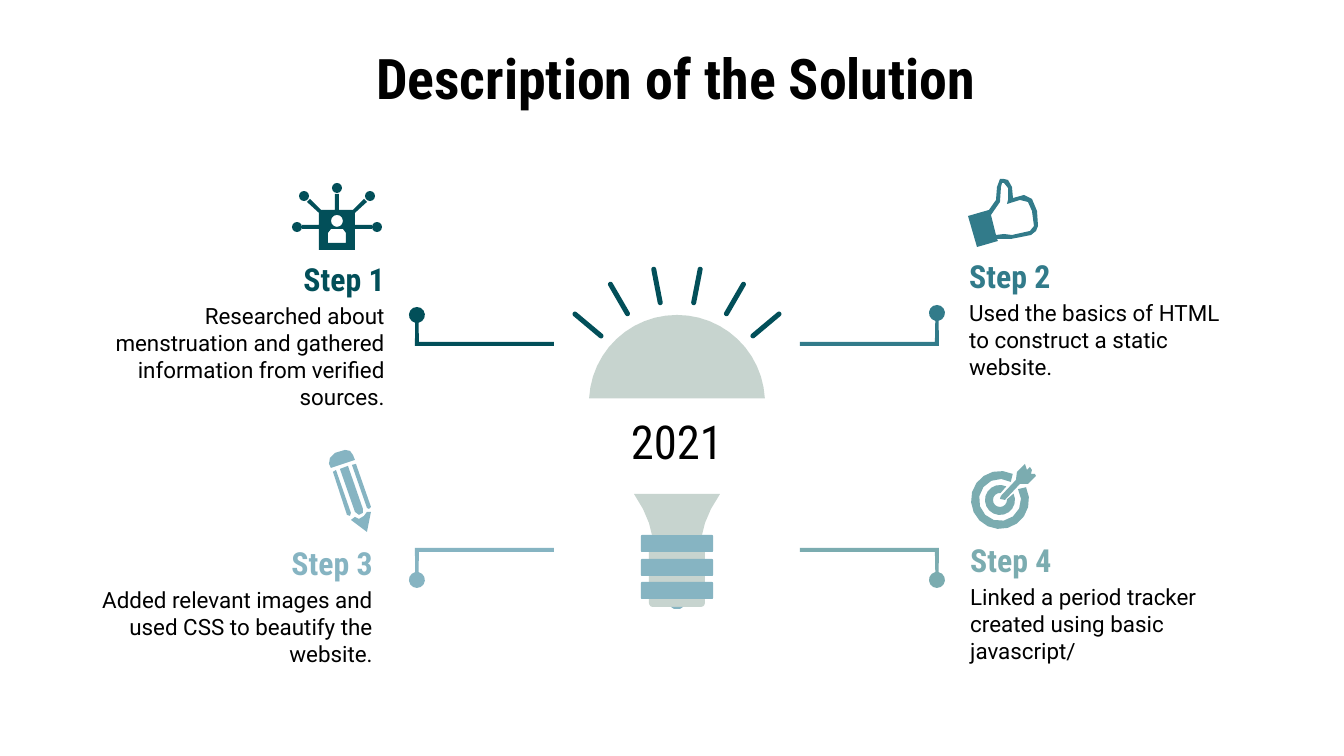
import dataclasses
import math

import pptx
import pptx.dml.color
import pptx.enum.shapes
import pptx.enum.text
import pptx.util

EMU_PER_PX = 9144000 / 1344
BULB_AXIS = 677
ALIGN = pptx.enum.text.PP_ALIGN
PRESET = pptx.enum.shapes.MSO_SHAPE


@dataclasses.dataclass(frozen=True)
class Theme:
    black: str = "000000"
    white: str = "FFFFFF"
    dark_teal: str = "024F59"
    teal: str = "327B8A"
    sky: str = "86B4C2"
    mint: str = "7BACB0"
    sage: str = "C7D4CF"
    heading_font: str = "Roboto Condensed"
    body_font: str = "Roboto"
    title_size: int = 30
    year_size: int = 25
    step_size: int = 17
    body_size: int = 12


def emu(px):
    return round(px * EMU_PER_PX)


def color(value):
    return pptx.dml.color.RGBColor.from_string(value)


def arc(x, y, radius, start=0, end=360, steps=12):
    """Return points along an arc; angles in degrees, clockwise from the right."""
    angles = [math.radians(start + (end - start) * i / steps) for i in range(steps + 1)]
    return [(x + radius * math.cos(a), y + radius * math.sin(a)) for a in angles]


def open_ring(x, y, outer, inner, outer_gap, inner_gap):
    """Return a ring with a gap, given as half angles, toward the upper right."""
    return (arc(x, y, outer, outer_gap - 45, 315 - outer_gap, 16)
            + arc(x, y, inner, 315 - inner_gap, inner_gap - 45))


def mirrored(points, axis):
    """Close a left half outline with its reflection in a vertical axis."""
    return points + [(2 * axis - x, y) for x, y in reversed(points)]


def write_text(shape, text, *, size, font, fill, bold=False, align=ALIGN.LEFT):
    frame = shape.text_frame
    frame.word_wrap = True
    frame.vertical_anchor = pptx.enum.text.MSO_ANCHOR.TOP
    margin = pptx.util.Inches(0.1)
    frame.margin_left = frame.margin_right = margin
    frame.margin_top = frame.margin_bottom = margin
    paragraph = frame.paragraphs[0]
    paragraph.alignment = align
    run = paragraph.add_run()
    run.text = text
    run.font.size = pptx.util.Pt(size)
    run.font.name = font
    run.font.bold = bold
    run.font.color.rgb = color(fill)


class SlideBuilder:
    def __init__(self, slide, theme):
        self.slide = slide
        self.theme = theme
        slide.background.fill.solid()
        slide.background.fill.fore_color.rgb = color(theme.white)

    def text(self, box, text, **text_format):
        shape = self.slide.shapes.add_textbox(*map(emu, box))
        write_text(shape, text, **text_format)

    def paint(self, shape, fill):
        shape.shadow.inherit = False
        shape.fill.solid()
        shape.fill.fore_color.rgb = color(fill)
        shape.line.fill.background()

    def preset(self, kind, box, fill):
        shape = self.slide.shapes.add_shape(kind, *map(emu, box))
        self.paint(shape, fill)
        return shape

    def rounded(self, box, fill, radius):
        shape = self.preset(PRESET.ROUNDED_RECTANGLE, box, fill)
        shape.adjustments[0] = radius / min(box[2:])
        return shape

    def outline(self, fill, *contours):
        """Draw closed contours as one shape; inner contours become holes."""
        scaled = [[(emu(x), emu(y)) for x, y in points] for points in contours]
        builder = self.slide.shapes.build_freeform(*scaled[0][0], scale=1.0)
        for index, points in enumerate(scaled):
            if index:
                builder.move_to(*points[0])
            builder.add_line_segments(points[1:], close=True)
        self.paint(builder.convert_to_shape(), fill)

    def ray(self, center, length, rotation, fill):
        thickness = 5
        x, y = center
        box = (x - thickness / 2, y - length / 2, thickness, length)
        self.rounded(box, fill, thickness / 2).rotation = rotation

    def bracket(self, dot, end, fill):
        """Draw a dot whose stem turns toward the bulb and stops at end."""
        x, y = dot
        end_x, line_y = end
        inward = math.copysign(1, end_x - x)
        down = math.copysign(1, line_y - y)
        circle = [(x + inward * dy, y + down * dx)
                  for dx, dy in arc(0, 0, 8, 12, 348)]
        elbow = [(x - inward * 2, line_y + down * 2), (end_x, line_y + down * 2),
                 (end_x, line_y - down * 2), (x + inward * 2, line_y - down * 2)]
        self.outline(fill, circle + elbow)

    def step(self, heading, body, *, edge, top, align, fill):
        theme = self.theme
        parts = [
            (heading, 187, 0, 43, dict(size=theme.step_size, font=theme.heading_font,
                                       fill=fill, bold=True)),
            (body, 300, 43, 102, dict(size=theme.body_size, font=theme.body_font,
                                      fill=theme.black)),
        ]
        for text, width, offset, height, text_format in parts:
            left = edge - width if align == ALIGN.RIGHT else edge
            self.text((left, top + offset, width, height), text, align=align, **text_format)


def draw_network_icon(builder, fill):
    axis = 337
    for x, y in [(337, 188), (297, 227), (304, 196), (377, 227), (370, 196)]:
        builder.preset(PRESET.OVAL, (x - 5, y - 5, 10, 10), fill)
    frame = [(335, 194), (335, 210), (321, 210), (310, 199), (307, 202), (319, 213),
             (319, 225), (302, 225), (302, 229), (319, 229), (319, 250)]
    shoulders = [(331, 229), (328, 233), (328, 243)]
    builder.outline(fill, mirrored(frame, axis), arc(axis, 221, 6), mirrored(shoulders, axis))


def draw_thumb_icon(builder, fill):
    hand = [(1004, 179), (1000, 179), (997, 187), (996, 200), (989, 210), (968, 216),
            (977, 247), (998, 241), (997, 239), (1011, 239), (1031, 235), (1036, 231),
            (1038, 226), (1037, 211), (1032, 199), (1024, 195), (1013, 198),
            (1012, 187), (1008, 180)]
    palm = [(1004, 183), (1008, 188), (1008, 200), (1007, 204), (1020, 200), (1028, 202),
            (1032, 211), (1034, 226), (1030, 231), (1012, 235), (1004, 234), (996, 235),
            (991, 215), (1000, 202), (1001, 187), (1002, 183)]
    builder.outline(fill, hand, palm)


def draw_pencil_icon(builder, fill):
    eraser = [(345, 450), (335, 453), (330, 458), (329, 464), (331, 468),
              (355, 460), (353, 455), (350, 451)]
    right_bar = [(356, 464), (352, 465), (367, 508), (369, 509), (371, 507)]
    middle_bar = [(348, 466), (340, 469), (355, 512), (359, 515), (363, 513), (363, 509)]
    left_bar = [(336, 470), (333, 472), (347, 515), (350, 516), (351, 513)]
    tip = [(371, 512), (367, 512), (364, 516), (359, 519), (355, 517), (351, 520), (367, 532)]
    builder.outline(fill, eraser, right_bar, middle_bar, left_bar, tip)


def draw_target_icon(builder, fill):
    builder.outline(fill, open_ring(1000, 500, 29, 21, 19, 14))
    builder.outline(fill, open_ring(1000, 500, 15, 7, 20, 40))
    arrow = [(1025, 464), (1017, 472), (1016, 480), (1001, 496), (1000, 499),
             (1005, 500), (1020, 484), (1028, 484), (1036, 476), (1035, 474),
             (1031, 474), (1032, 470), (1030, 467), (1027, 470)]
    builder.outline(fill, arrow)


def draw_bulb(builder, theme):
    builder.rounded((649, 536, 56, 71), theme.sage, 4)
    for top in (535, 559, 582):
        builder.rounded((641, top, 72, 17), theme.sky, 1)
    builder.outline(theme.sky, mirrored([(671, 607), (674, 609)], BULB_AXIS))
    builder.outline(theme.sage, arc(BULB_AXIS, 403, 88, -177, -3, 24))
    neck = [(634, 494), (643, 509), (649, 523), (652, 535)]
    builder.outline(theme.sage, mirrored(neck, BULB_AXIS))
    for offset, y, length, rotation in [(20, 286, 39, 11), (58, 299, 39, 30), (89, 325, 39, 50)]:
        for side in (-1, 1):
            builder.ray((BULB_AXIS + side * offset, y), length, side * rotation,
                        theme.dark_teal)


def main():
    theme = Theme()
    presentation = pptx.Presentation()
    presentation.slide_width, presentation.slide_height = emu(1344), emu(756)
    slide = presentation.slides.add_slide(presentation.slide_layouts[6])
    builder = SlideBuilder(slide, theme)

    builder.text((250, 30, 852, 91), "Description of the Solution", size=theme.title_size,
                 font=theme.heading_font, fill=theme.black, bold=True, align=ALIGN.CENTER)
    draw_bulb(builder, theme)
    builder.text((589, 399, 176, 71), "2021", size=theme.year_size,
                 font=theme.heading_font, fill=theme.black, align=ALIGN.CENTER)

    steps = [
        ("Researched about menstruation and gathered information from verified sources.",
         theme.dark_teal, draw_network_icon, ALIGN.RIGHT, 398, 246, (417, 315), (554, 344)),
        ("Used the basics of HTML to construct a static website.",
         theme.teal, draw_thumb_icon, ALIGN.LEFT, 956, 243, (937, 313), (800, 344)),
        ("Added relevant images and used CSS to beautify the website.",
         theme.sky, draw_pencil_icon, ALIGN.RIGHT, 386, 530, (417, 580), (554, 550)),
        ("Linked a period tracker created using basic javascript/",
         theme.mint, draw_target_icon, ALIGN.LEFT, 957, 527, (937, 580), (800, 550)),
    ]
    for number, (body, fill, draw_icon, align, edge, top, dot, end) in enumerate(steps, 1):
        draw_icon(builder, fill)
        builder.bracket(dot, end, fill)
        builder.step(f"Step {number}", body, edge=edge, top=top, align=align, fill=fill)

    presentation.save("out.pptx")


if __name__ == "__main__":
    main()
